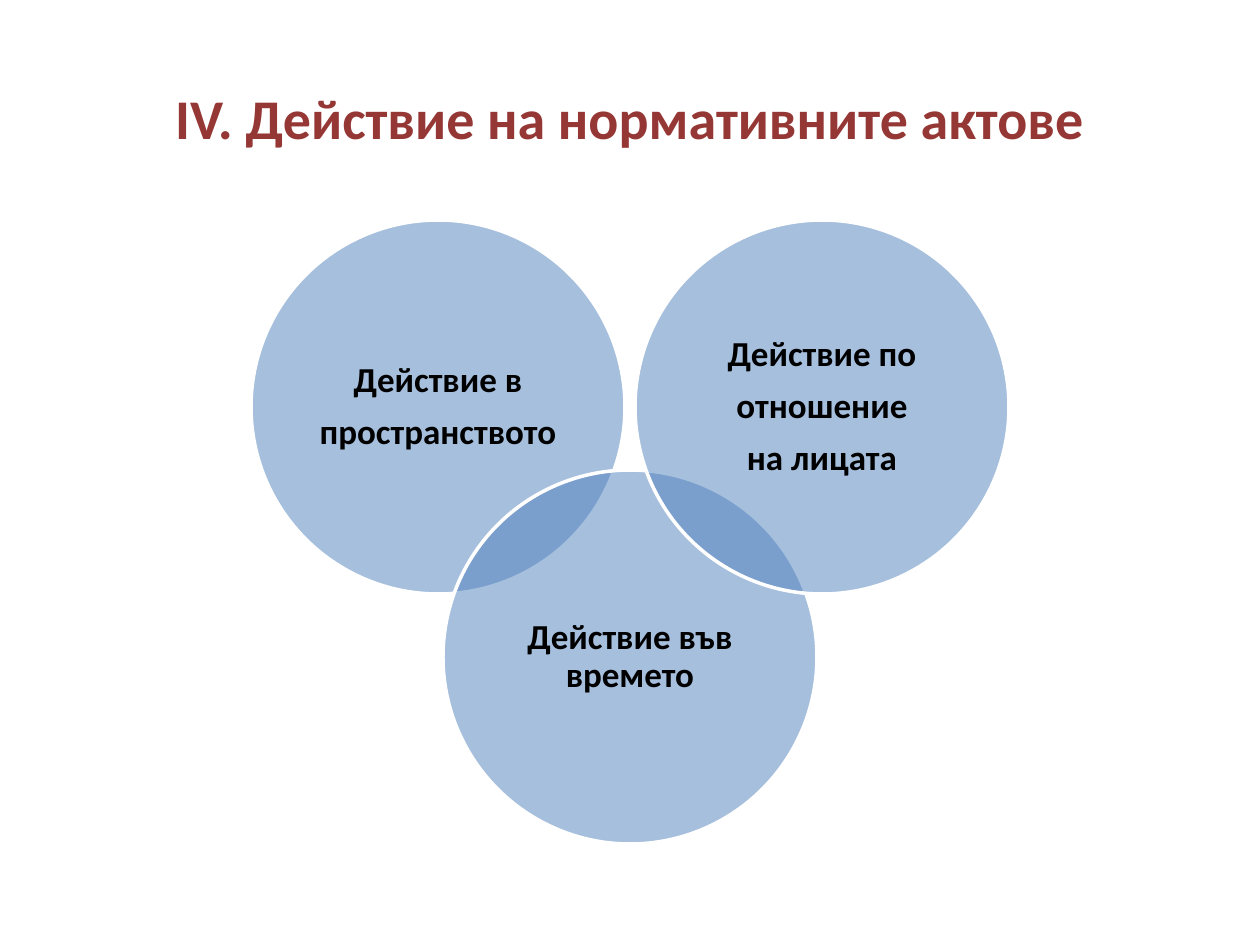
from lxml.etree import SubElement
from pptx import Presentation
from pptx.dml.color import RGBColor
from pptx.enum.shapes import MSO_SHAPE
from pptx.enum.text import MSO_ANCHOR, PP_ALIGN
from pptx.oxml.ns import qn
from pptx.util import Emu, Pt

SLIDE_W, SLIDE_H = 1260, 945
RADIUS = 187
STEP_X = 192
TOP_ROW_Y, BOTTOM_ROW_Y = 407, 657
TITLE_FONT = {"name": "Calibri", "size": Pt(32), "bold": True}
LABEL_FONT = {"name": "Calibri", "size": Pt(20), "bold": True}
LABEL_SPACING = {"line_spacing": 0.9, "space_after": Pt(8)}


def px(n):
    return Emu(round(n * 914400 / 126))


def color(hex_string):
    return RGBColor.from_string(hex_string)


def set_attrs(obj, values):
    for name, value in values.items():
        setattr(obj, name, value)


def write_text(sp, lines, font, hex_color, inset, spacing):
    tf = sp.text_frame
    margins = dict.fromkeys(
        ("margin_left", "margin_top", "margin_right", "margin_bottom"), px(inset))
    set_attrs(tf, {"word_wrap": True, "vertical_anchor": MSO_ANCHOR.MIDDLE, **margins})
    for i, line in enumerate(lines):
        p = tf.add_paragraph() if i else tf.paragraphs[0]
        set_attrs(p, {"alignment": PP_ALIGN.CENTER, **spacing})
        r = p.add_run()
        r.text = line
        set_attrs(r.font, font)
        r.font.color.rgb = color(hex_color)


def add_title(s, text):
    sp = s.shapes.add_textbox(px(63), px(38), px(SLIDE_W - 2 * 63), px(158))
    write_text(sp, [text], TITLE_FONT, "953735", 10, {})


def add_circle(s, center_x, center_y, lines):
    sp = s.shapes.add_shape(
        MSO_SHAPE.OVAL, px(center_x - RADIUS), px(center_y - RADIUS),
        px(2 * RADIUS), px(2 * RADIUS))
    sp.shadow.inherit = False
    sp.fill.solid()
    sp.fill.fore_color.rgb = color("4F81BD")
    fill_color = sp.fill._xPr.find(qn("a:solidFill"))[0]
    SubElement(fill_color, qn("a:alpha"), val="50000")
    sp.line.color.rgb = color("FFFFFF")
    sp.line.width = Pt(2)
    write_text(sp, lines, LABEL_FONT, "000000", 11, LABEL_SPACING)


def main():
    prs = Presentation()
    set_attrs(prs, {"slide_width": px(SLIDE_W), "slide_height": px(SLIDE_H)})
    s = prs.slides.add_slide(prs.slide_layouts[6])
    add_title(s, "IV. Действие на нормативните актове")
    circles = [
        (-1, TOP_ROW_Y, ["Действие в", "пространството"]),
        (0, BOTTOM_ROW_Y, ["Действие във времето"]),
        (1, TOP_ROW_Y, ["Действие по", "отношение", "на лицата"]),
    ]
    for column, center_y, lines in circles:
        add_circle(s, SLIDE_W // 2 + column * STEP_X, center_y, lines)
    prs.save("out.pptx")


if __name__ == "__main__":
    main()
